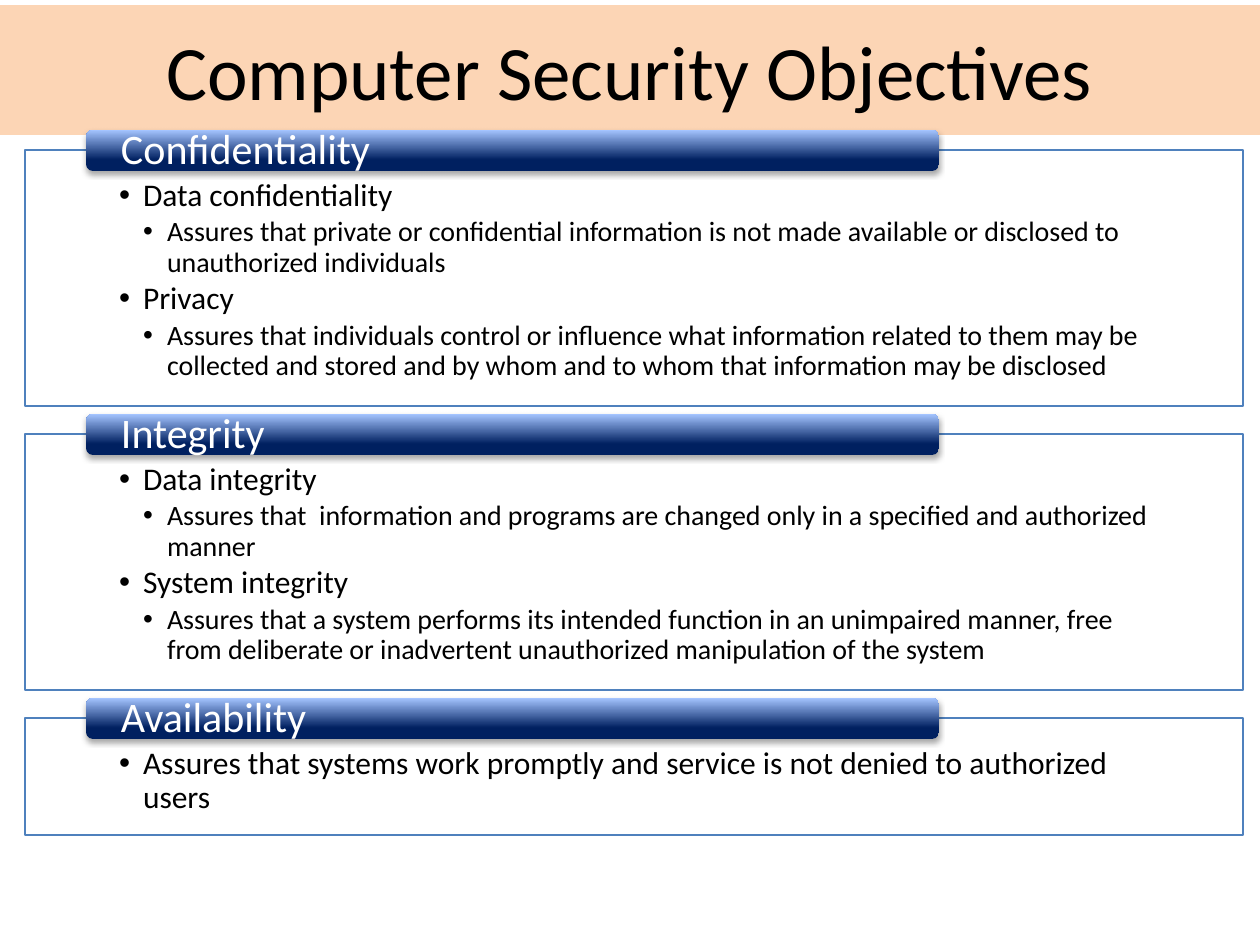
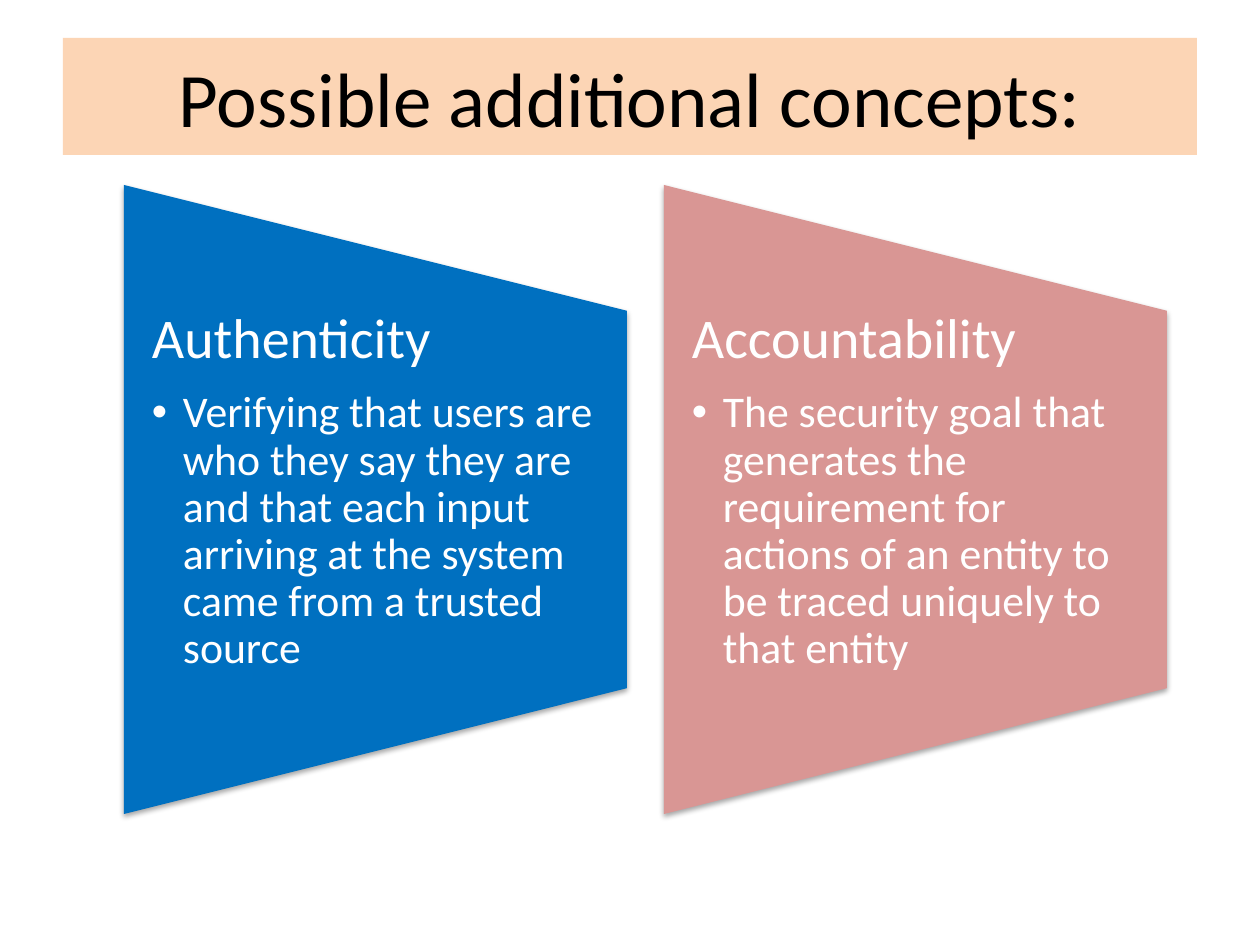
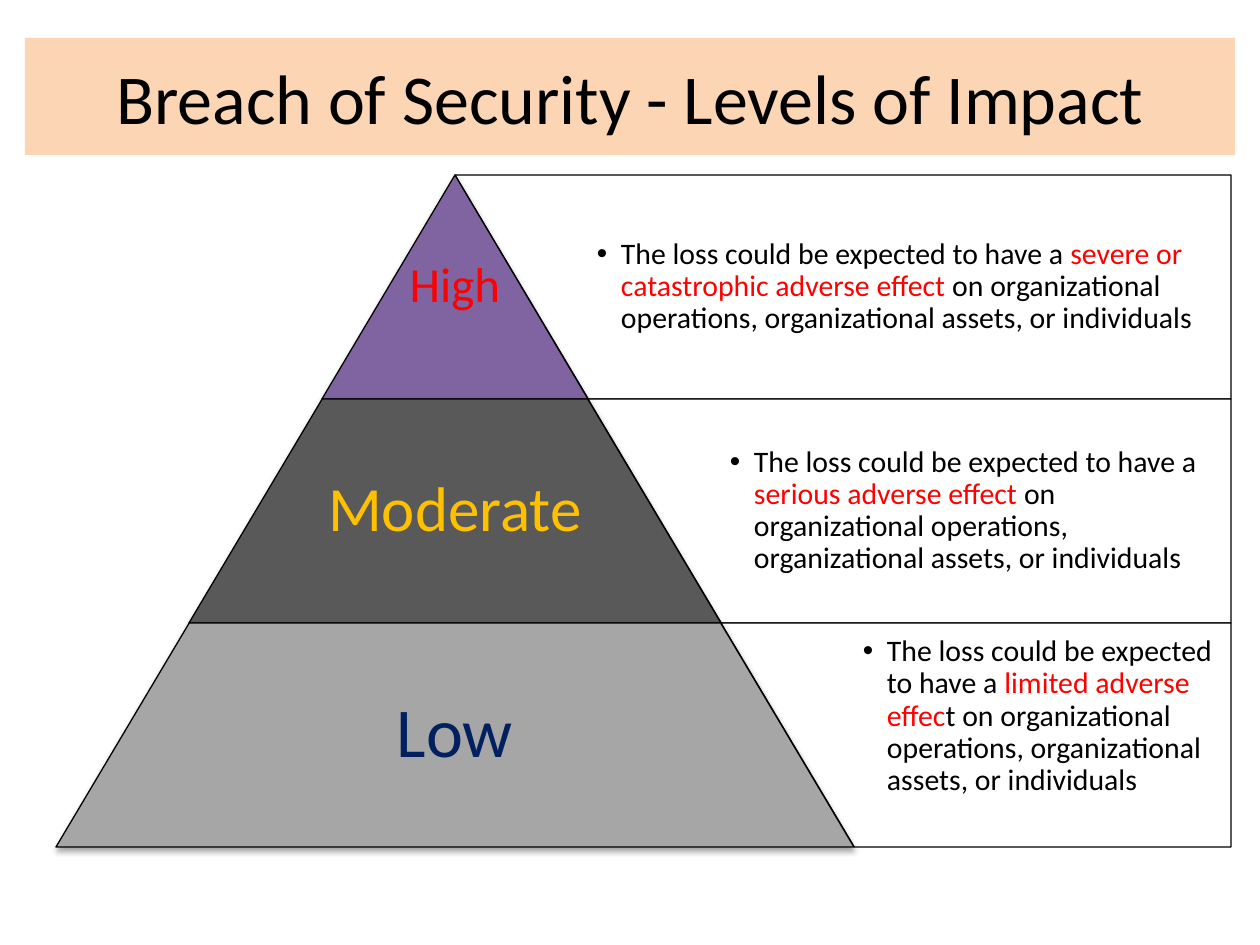
import lxml.etree
import pptx
import pptx.dml.color
import pptx.enum.shapes
import pptx.enum.text
import pptx.oxml.ns
import pptx.util

PX = 7257
FONT = "Calibri"
PEACH, WHITE, BLACK = "FCD5B5", "FFFFFF", "000000"
NAVY, SKY, RED, OUTLINE = "002060", "A4C4FF", "FF0000", "4F81BD"
KINDS = pptx.enum.shapes.MSO_SHAPE
ANCHORS = pptx.enum.text.MSO_ANCHOR
ALIGNS = pptx.enum.text.PP_ALIGN
rgb = pptx.dml.color.RGBColor.from_string
qn = pptx.oxml.ns.qn


def draw(slide, kind, box, fill, line=None, alpha=None, shadow=False):
    shape = slide.shapes.add_shape(kind, *[n * PX for n in box])
    shape.shadow.inherit = False
    shape.fill.solid()
    shape.fill.fore_color.rgb = rgb(fill)
    if alpha:
        tint = shape.fill._xPr.find(".//" + qn("a:srgbClr"))
        lxml.etree.SubElement(tint, qn("a:alpha"), val=str(alpha * 1000))
    if line:
        shape.line.color.rgb = rgb(line)
        shape.line.width = pptx.util.Pt(0.75)
    else:
        shape.line.fill.background()
    if shadow:
        effects = shape._element.spPr.find(qn("a:effectLst"))
        outer = lxml.etree.SubElement(
            effects, qn("a:outerShdw"), blurRad="40000", dist="23000", dir="5400000", rotWithShape="0")
        tint = lxml.etree.SubElement(outer, qn("a:srgbClr"), val=BLACK)
        lxml.etree.SubElement(tint, qn("a:alpha"), val="35000")
    return shape


def write(shape, text, size, color=BLACK, level=0, indent=24, align="LEFT", anchor="MIDDLE",
          insets=(13, 6, 13, 6), spacing=0.9, after=0.35):
    frame = shape.text_frame
    frame.word_wrap = True
    frame.vertical_anchor = ANCHORS[anchor]
    frame.margin_left, frame.margin_top, frame.margin_right, frame.margin_bottom = [n * PX for n in insets]
    paragraph = frame.paragraphs[0]
    if paragraph.runs:
        paragraph = frame.add_paragraph()
    paragraph.alignment = ALIGNS[align]
    paragraph.line_spacing = spacing
    paragraph.space_after = pptx.util.Pt(size * (0.15 if level else after))
    if level:
        paragraph.level = level
        properties = paragraph._p.get_or_add_pPr()
        properties.set("marL", str(indent * level * PX))
        properties.set("indent", str(-indent * PX))
        lxml.etree.SubElement(properties, qn("a:buFont"), typeface="Arial")
        lxml.etree.SubElement(properties, qn("a:buChar"), char="•")
    for part, part_color in [(text, color)] if isinstance(text, str) else text:
        run = paragraph.add_run()
        run.text = part
        run.font.name = FONT
        run.font.size = pptx.util.Pt(size)
        run.font.color.rgb = rgb(part_color)


deck = pptx.Presentation()
deck.slide_width = pptx.util.Inches(10)
deck.slide_height = pptx.util.Inches(7.5)

titles = [
    ("Computer Security Objectives", 44, (0, 5, 1260, 130)),
    ("Possible additional concepts:", 44, (63, 38, 1134, 117)),
    ("Breach of Security - Levels of Impact", 40, (25, 38, 1210, 117)),
]
for title, size, band in titles:
    slide = deck.slides.add_slide(deck.slide_layouts[6])
    write(draw(slide, KINDS.RECTANGLE, band, PEACH), title, size, align="CENTER", spacing=1.0, after=0)
objectives_slide, concepts_slide, impact_slide = deck.slides

objectives = [
    ("Confidentiality", 256, [
        (1, "Data confidentiality"),
        (2, "Assures that private or confidential information is not made available or disclosed to "
            "unauthorized individuals"),
        (1, "Privacy"),
        (2, "Assures that individuals control or influence what information related to them may be "
            "collected and stored and by whom and to whom that information may be disclosed"),
    ]),
    ("Integrity", 256, [
        (1, "Data integrity"),
        (2, "Assures that  information and programs are changed only in a specified and authorized manner"),
        (1, "System integrity"),
        (2, "Assures that a system performs its intended function in an unimpaired manner, free from "
            "deliberate or inadvertent unauthorized manipulation of the system"),
    ]),
    ("Availability", 117, [
        (1, "Assures that systems work promptly and service is not denied to authorized users"),
    ]),
]
for index, (objective, height, points) in enumerate(objectives):
    top = 150 + 284 * index
    panel = draw(objectives_slide, KINDS.RECTANGLE, (25, top, 1218, height), WHITE, line=OUTLINE, alpha=90)
    for level, point in points:
        write(panel, point, 18 if level == 1 else 16, level=level, anchor="TOP", insets=(94, 29, 94, 18))
    banner = draw(objectives_slide, KINDS.ROUNDED_RECTANGLE, (86, top - 20, 853, 41), NAVY, shadow=True)
    banner.fill.gradient()
    banner.fill.gradient_angle = 90
    for stop, position, color in zip(banner.fill.gradient_stops, (0.27, 1), (NAVY, SKY)):
        stop.position = position
        stop.color.rgb = rgb(color)
    write(banner, objective, 24, WHITE, insets=(33, 0, 33, 0))

concepts = [
    ("Authenticity", "0070C0",
     "Verifying that users are who they say they are and that each input arriving at the system "
     "came from a trusted source"),
    ("Accountability", "D99694",
     "The security goal that generates the requirement for actions of an entity to be traced "
     "uniquely to that entity"),
]
for index, (concept, color, meaning) in enumerate(concepts):
    left = 124 + 540 * index
    card = draw(concepts_slide, KINDS.FLOWCHART_MANUAL_OPERATION, (left - 63, 248, 629, 503), color, shadow=True)
    card.rotation = 270
    body = concepts_slide.shapes.add_textbox(*[n * PX for n in (left, 310, 503, 377)])
    write(body, concept, 32, WHITE, anchor="TOP", insets=(28, 0, 28, 0))
    write(body, meaning, 25, WHITE, level=1, indent=31, anchor="TOP", insets=(28, 0, 28, 0))

apex, right, step, tier_height = 455, 1231, 133, 224
slant = 0.595
levels = [
    ("High", 28, RED, "8064A2", "severe or catastrophic adverse effect ", "on", 9),
    ("Moderate", 36, "FFC000", "595959", "serious adverse effect ", "on", 9),
    ("Low", 40, NAVY, "A6A6A6", "limited adverse effec", "t on", 46),
]
for index, (label, size, color, fill, effect, joint, bottom_inset) in enumerate(levels):
    top = 175 + tier_height * index
    edge = apex + step * index
    reach = step * (index + 1)
    description = draw(impact_slide, KINDS.NON_ISOSCELES_TRAPEZOID, (edge, top, right - edge, tier_height),
                       WHITE, line=BLACK, alpha=90)
    description.adjustments[0] = 0
    description.adjustments[1] = slant
    description.rotation = 180
    loss_box = (apex + reach, top, right - apex - reach, tier_height)
    loss = impact_slide.shapes.add_textbox(*[n * PX for n in loss_box])
    sentence = [
        ("The loss could be expected to have a ", BLACK),
        (effect, RED),
        (joint + " organizational operations, organizational assets, or individuals", BLACK),
    ]
    write(loss, sentence, 17, level=1, insets=(9, 9, 9, bottom_inset))
    tier_box = (apex - reach, top, 2 * reach, tier_height)
    tier = draw(impact_slide, KINDS.TRAPEZOID, tier_box, fill, line=BLACK, shadow=True)
    tier.adjustments[0] = slant
    caption = impact_slide.shapes.add_textbox(*[n * PX for n in tier_box])
    write(caption, label, size, color, align="CENTER", insets=(6, 6, 6, 6))

deck.save("out.pptx")
